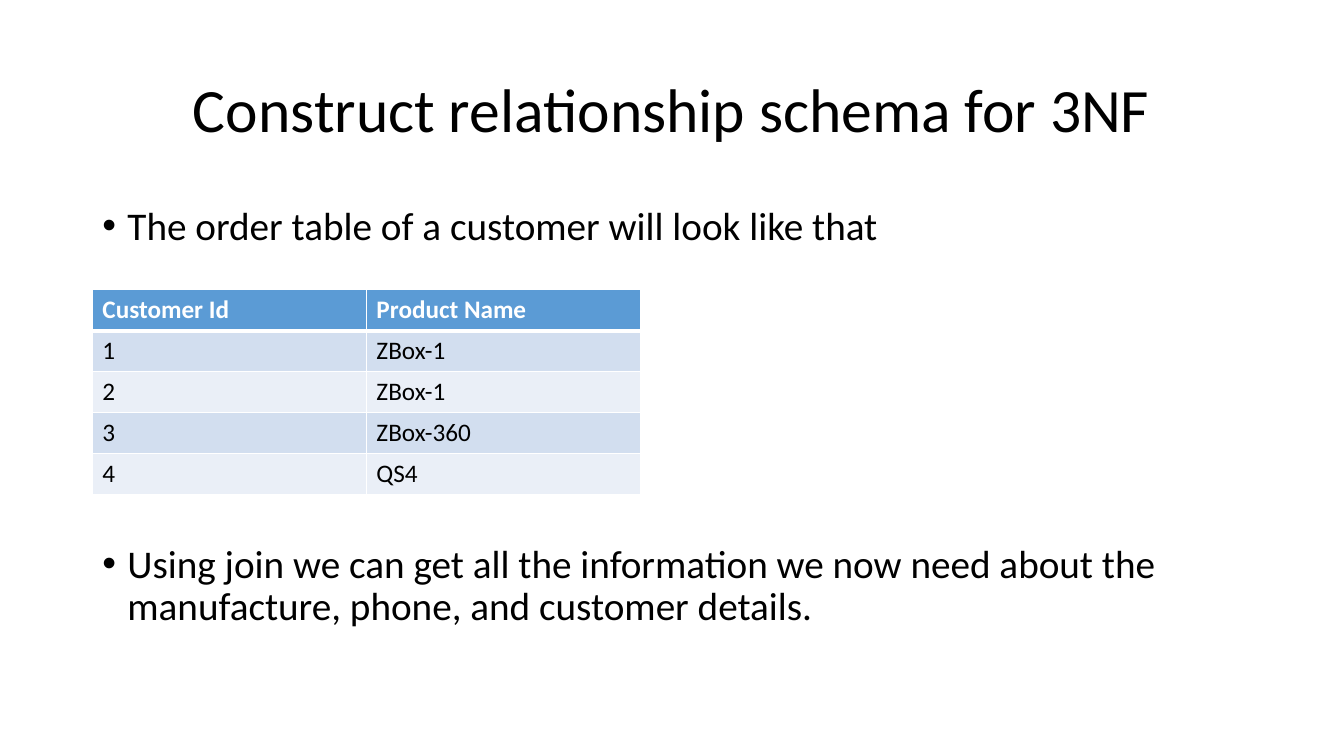
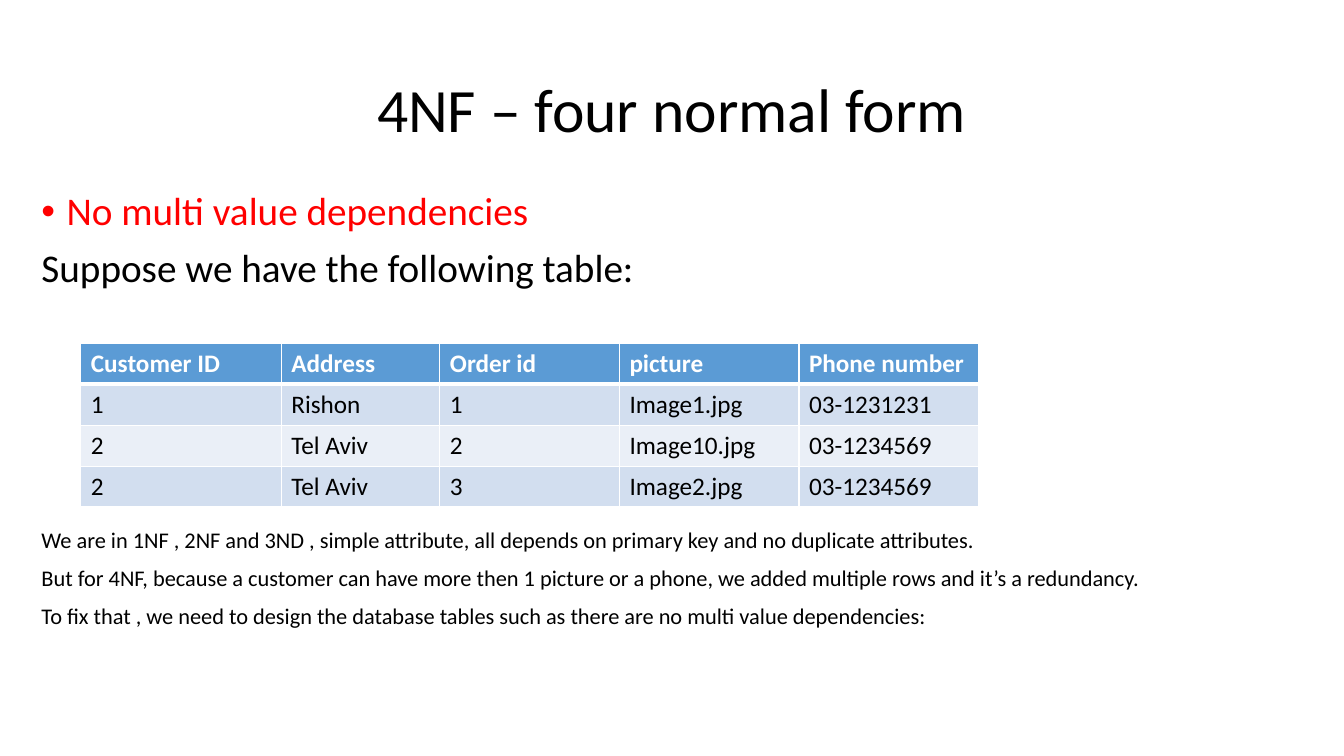
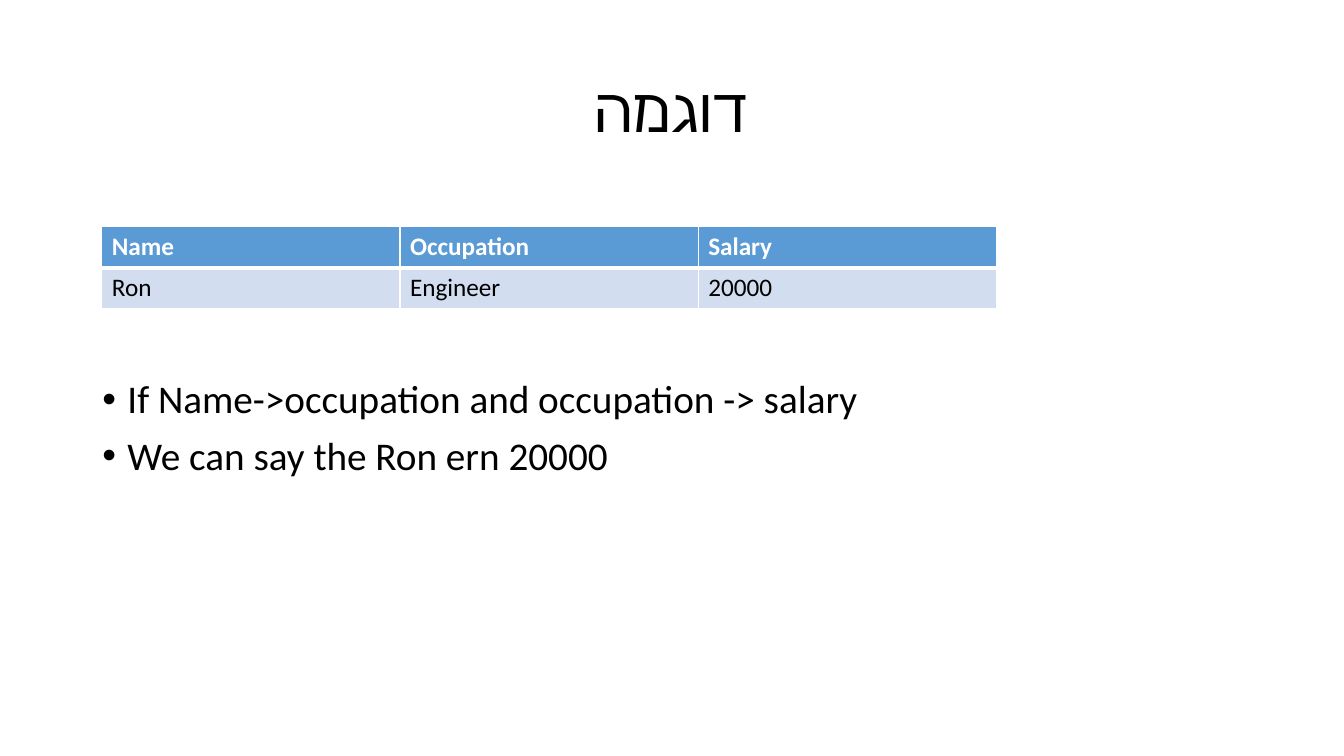
from dataclasses import dataclass

from lxml.etree import SubElement
from pptx import Presentation
from pptx.dml.color import RGBColor as Rgb
from pptx.enum.text import MSO_ANCHOR as Anchor, PP_ALIGN as Align
from pptx.oxml.ns import qn
from pptx.util import Pt

PX = 9525


@dataclass(frozen=True)
class Theme:
    font: str = "Calibri"
    ink: str = "000000"
    paper: str = "FFFFFF"
    alert: str = "FF0000"
    header: str = "5B9BD5"
    bands: tuple = ("D2DEEF", "EAEFF7")
    title_size: int = 44
    body_size: int = 28
    cell_size: int = 18
    note_size: int = 16


theme = Theme()
BULLET_INDENT = 24
ROW_HEIGHT = 39
TITLE_BOX = (88, 38, 1104, 139)


def style(paragraph, size, color, bold=False):
    paragraph.font.name = theme.font
    paragraph.font.size = Pt(size)
    paragraph.font.bold = bold
    paragraph.font.color.rgb = Rgb.from_string(color)


def add_text(slide, box, lines, size, color=theme.ink, bulleted=False):
    frame = slide.shapes.add_textbox(*(side * PX for side in box)).text_frame
    frame.word_wrap = True
    for index, line in enumerate(lines):
        paragraph = frame.add_paragraph() if index else frame.paragraphs[0]
        paragraph.text = line
        paragraph.line_spacing = 0.9
        paragraph.space_before = Pt(10 if index else 0)
        if bulleted:
            props = paragraph._p.get_or_add_pPr()
            props.set("marL", str(BULLET_INDENT * PX))
            props.set("indent", str(-BULLET_INDENT * PX))
            SubElement(props, qn("a:buFont"), typeface="Arial")
            SubElement(props, qn("a:buChar"), char="•")
        style(paragraph, size, color)
    return frame


pages = [
    {
        "title": "Construct relationship schema for 3NF",
        "texts": [
            ((88, 192, 1104, 52), ["The order table of a customer will look like that"],
             theme.body_size, theme.ink, True),
            ((88, 514, 1104, 92),
             ["Using join we can get all the information we now need about the "
              "manufacture, phone, and customer details."],
             theme.body_size, theme.ink, True),
        ],
        "table_at": (88, 276),
        "columns": [261] * 2,
        "rows": [
            ("Customer Id", "Product Name"),
            ("1", "ZBox-1"),
            ("2", "ZBox-1"),
            ("3", "ZBox-360"),
            ("4", "QS4"),
        ],
    },
    {
        "title": "4NF – four normal form",
        "texts": [
            ((30, 178, 1163, 52), ["No multi value dependencies"],
             theme.body_size, theme.alert, True),
            ((30, 232, 1163, 52), ["Suppose we have the following table:"],
             theme.body_size, theme.ink, False),
            ((30, 499, 1163, 110),
             ["We are in 1NF , 2NF and 3ND , simple attribute, all depends on "
              "primary key and no duplicate attributes.",
              "But for 4NF, because a customer can have more then 1 picture or a phone, "
              "we added multiple rows and it’s a redundancy.",
              "To fix that , we need to design the database tables such as there are "
              "no multi value dependencies:"],
             theme.note_size, theme.ink, False),
        ],
        "table_at": (77, 327),
        "columns": [191, 151] + [171] * 3,
        "rows": [
            ("Customer ID", "Address", "Order id", "picture", "Phone number"),
            ("1", "Rishon", "1", "Image1.jpg", "03-1231231"),
            ("2", "Tel Aviv", "2", "Image10.jpg", "03-1234569"),
            ("2", "Tel Aviv", "3", "Image2.jpg", "03-1234569"),
        ],
    },
    {
        "title": "דוגמה",
        "texts": [
            ((88, 357, 1104, 106),
             ["If Name->occupation and occupation -> salary",
              "We can say the Ron ern 20000"],
             theme.body_size, theme.ink, True),
        ],
        "table_at": (97, 216),
        "columns": [284] * 3,
        "rows": [
            ("Name", "Occupation", "Salary"),
            ("Ron", "Engineer", "20000"),
        ],
    },
]

deck = Presentation()
deck.slide_width, deck.slide_height = 1280 * PX, 720 * PX

for page in pages:
    slide = deck.slides.add_slide(deck.slide_layouts[6])
    title = add_text(slide, TITLE_BOX, [page["title"]], theme.title_size)
    title.vertical_anchor = Anchor.MIDDLE
    title.paragraphs[0].alignment = Align.CENTER

    for box, lines, size, color, bulleted in page["texts"]:
        add_text(slide, box, lines, size, color, bulleted)

    rows, columns = page["rows"], page["columns"]
    left, top = page["table_at"]
    table = slide.shapes.add_table(
        len(rows), len(columns), left * PX, top * PX,
        sum(columns) * PX, len(rows) * ROW_HEIGHT * PX).table
    for column, width in zip(table.columns, columns):
        column.width = width * PX

    for row_index, row in enumerate(rows):
        is_header = row_index == 0
        fill = theme.header if is_header else theme.bands[(row_index - 1) % 2]
        edges = {
            "lnL": 1,
            "lnR": 1,
            "lnT": 3 if row_index == 1 else 1,
            "lnB": 3 if is_header else 1,
        }
        for column_index, value in enumerate(row):
            cell = table.cell(row_index, column_index)
            cell.text = value
            style(cell.text_frame.paragraphs[0], theme.cell_size,
                  theme.paper if is_header else theme.ink, is_header)
            cell_props = cell._tc.get_or_add_tcPr()
            for edge, width in edges.items():
                border = SubElement(cell_props, qn(f"a:{edge}"), w=str(Pt(width)))
                paint = SubElement(border, qn("a:solidFill"))
                SubElement(paint, qn("a:srgbClr"), val=theme.paper)
            cell.fill.solid()
            cell.fill.fore_color.rgb = Rgb.from_string(fill)

deck.save("out.pptx")
